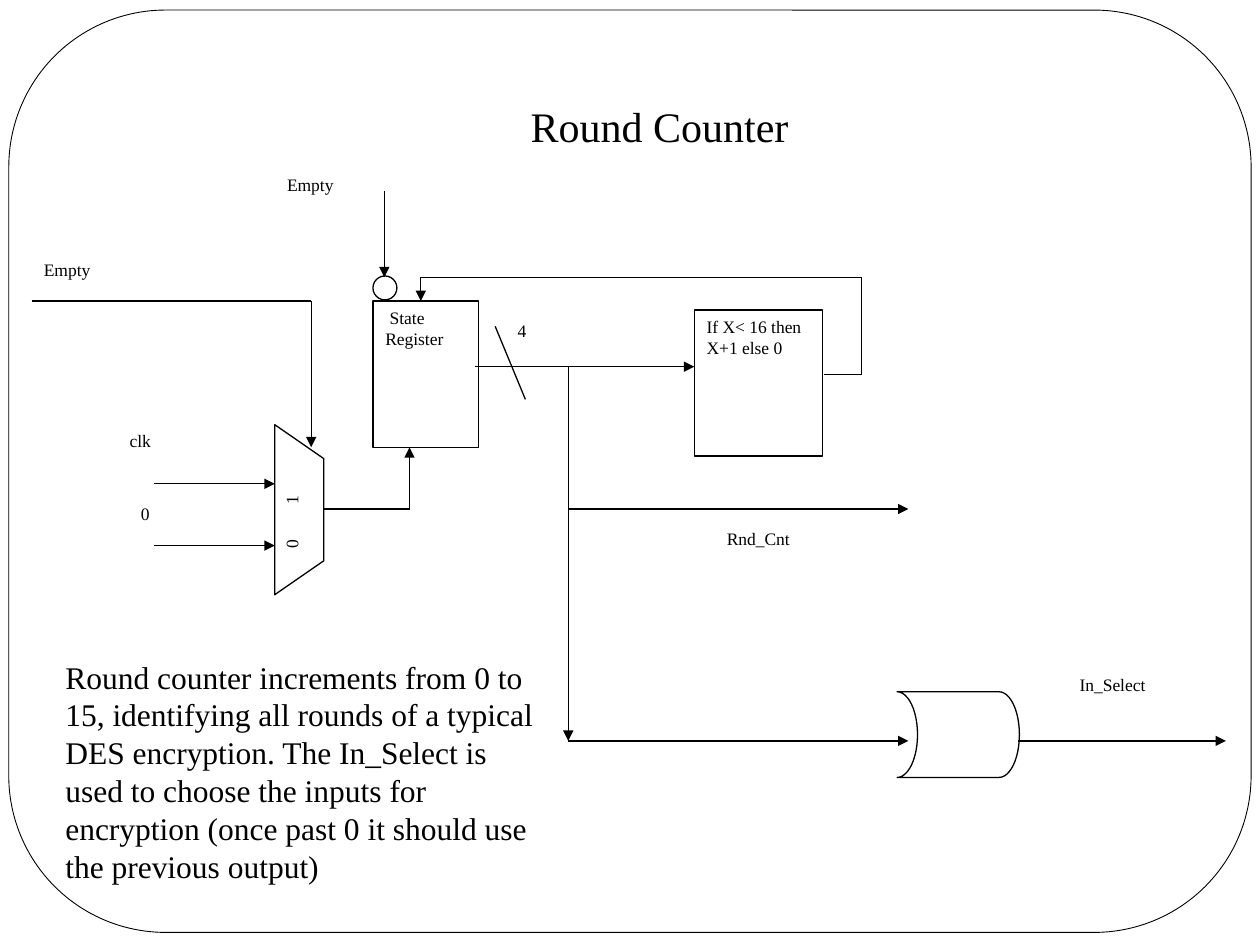
from itertools import pairwise

from lxml import etree
from pptx import Presentation
from pptx.dml.color import RGBColor
from pptx.enum.shapes import MSO_CONNECTOR, MSO_SHAPE
from pptx.enum.text import MSO_ANCHOR, PP_ALIGN
from pptx.oxml.ns import qn
from pptx.util import Inches, Pt

LEFT, CENTER, TOP = PP_ALIGN.LEFT, PP_ALIGN.CENTER, MSO_ANCHOR.TOP
STRAIGHT = MSO_CONNECTOR.STRAIGHT

THEME = {
    "font": "Times New Roman",
    "ink": RGBColor(0, 0, 0),
    "paper": RGBColor(255, 255, 255),
    "title": 24, "body": 18, "label": 10,
    "wire": 0.75, "frame": 0.5,
}
SLIDE_W, SLIDE_H = 10, 7.5
INSET_X, INSET_Y = 0.1, 0.05

# Columns and rows of the circuit, in inches
COL = {
    "select_in": 0.25, "data_in": 1.22, "mux": 2.18, "select": 2.47,
    "mux_out": 2.57, "register": 2.96, "reset": 3.05, "load": 3.25,
    "feedback": 3.34, "register_out": 3.77, "branch": 4.51, "compare": 5.51,
    "compare_out": 6.54, "loop": 6.84, "branch_end": 7.21, "gate": 7.12,
    "gate_out": 8.08, "output": 9.73,
}
ROW = {
    "reset_in": 1.52, "loop": 2.2, "register": 2.39, "compare": 2.46,
    "count": 2.91, "compare_out": 2.97, "register_end": 3.55,
    "clk": 3.84, "middle": 4.04, "zero": 4.33, "select": 5.88,
}

# Stops of each wire as (column, row); True puts an arrowhead at the end
WIRES = [
    ([("select_in", "register"), ("select", "register"), ("select", "register_end")], True),
    ([("data_in", "clk"), ("mux", "clk")], True),
    ([("data_in", "zero"), ("mux", "zero")], True),
    ([("mux_out", "middle"), ("load", "middle"), ("load", "register_end")], True),
    ([("register_out", "count"), ("compare", "count")], True),
    ([("compare_out", "compare_out"), ("loop", "compare_out"), ("loop", "loop"),
      ("feedback", "loop"), ("feedback", "register")], True),
    ([("reset", "reset_in"), ("reset", "loop")], True),
    ([("branch", "count"), ("branch", "select")], True),
    ([("branch", "middle"), ("branch_end", "middle")], True),
    ([("branch", "select"), ("branch_end", "select")], True),
    ([("gate_out", "select"), ("output", "select")], True),
]
BUS_SLASH = [(3.93, 2.59), (4.17, 3.17)]

# Preset, box (left, top, width, height), rotation, text
BLOCKS = [
    (MSO_SHAPE.FLOWCHART_MANUAL_OPERATION, (1.7, 3.85, 1.35, 0.39), 270, "0\t1"),
    (MSO_SHAPE.RECTANGLE, (COL["register"], ROW["register"], 0.84, 1.16), 0, " State Register"),
    (MSO_SHAPE.RECTANGLE, (COL["compare"], ROW["compare"], 1.02, 1.16), 0,
     "If X< 16 then X+1 else 0"),
    (MSO_SHAPE.OVAL, (COL["register"], 2.19, 0.19, 0.19), 0, ""),
    (MSO_SHAPE.FLOWCHART_STORED_DATA, (COL["gate"], 5.49, 0.97, 0.68), 180, ""),
]
MUX_TAB = 0.35

# Text, box, type size, alignment
TEXTS = [
    ("0", (1.02, 3.94, 0.29, 0.29), "label", LEFT),
    ("clk", (0.93, 3.36, 0.68, 0.29), "label", LEFT),
    ("Empty", (2.18, 1.33, 0.77, 0.29), "label", LEFT),
    ("Empty", (0.25, 2.01, 0.77, 0.29), "label", LEFT),
    ("In_Select", (8.47, 5.3, 0.97, 0.39), "label", LEFT),
    ("Rnd_Cnt", (5.67, 4.14, 1.16, 0.39), "label", LEFT),
    ("4", (4.01, 2.49, 0.4, 0.39), "label", LEFT),
    ("Round Counter", (3.35, 0.75, 3.77, 0.87), "title", CENTER),
    ("Round counter increments from 0 to 15, identifying all rounds of a typical "
     "DES encryption. The In_Select is used to choose the inputs for encryption "
     "(once past 0 it should use the previous output)",
     (0.42, 5.17, 3.92, 1.62), "body", LEFT),
]


def write(shape, text, *, size="label", align=LEFT):
    frame = shape.text_frame
    frame.word_wrap = True
    frame.vertical_anchor = TOP
    frame.margin_left = frame.margin_right = Inches(INSET_X)
    frame.margin_top = frame.margin_bottom = Inches(INSET_Y)
    paragraph = frame.paragraphs[0]
    paragraph.alignment = align
    if "\t" in text:
        tabs = etree.SubElement(paragraph._p.get_or_add_pPr(), qn("a:tabLst"))
        etree.SubElement(tabs, qn("a:tab"), pos=str(Inches(MUX_TAB)), algn="l")
    run = paragraph.add_run()
    run.text = text
    run.font.name = THEME["font"]
    run.font.size = Pt(THEME[size])
    run.font.color.rgb = THEME["ink"]


def outline(line, weight):
    line.color.rgb = THEME["ink"]
    line.width = Pt(THEME[weight])


def add_block(slide, preset, box, rotation=0, weight="wire"):
    block = slide.shapes.add_shape(preset, *map(Inches, box))
    block.rotation = rotation
    block.shadow.inherit = False
    block.fill.background()
    outline(block.line, weight)
    return block


def add_wire(slide, points, arrow=False):
    """Join the points by straight segments, the last one with the arrowhead."""
    for start, end in pairwise(points):
        segment = slide.shapes.add_connector(STRAIGHT, *map(Inches, start + end))
        outline(segment.line, "wire")
        if arrow and end == points[-1]:
            etree.SubElement(segment.line._get_or_add_ln(), qn("a:tailEnd"), type="triangle")
        etree.SubElement(segment._element.spPr, qn("a:effectLst"))


def main():
    deck = Presentation()
    deck.slide_width, deck.slide_height = Inches(SLIDE_W), Inches(SLIDE_H)
    slide = deck.slides.add_slide(deck.slide_layouts[6])

    frame = add_block(slide, MSO_SHAPE.ROUNDED_RECTANGLE, (0.07, 0.08, 9.86, 7.32), weight="frame")
    frame.adjustments[0] = 0.17
    frame.fill.solid()
    frame.fill.fore_color.rgb = THEME["paper"]

    for preset, box, rotation, text in BLOCKS:
        block = add_block(slide, preset, box, rotation)
        if text:
            write(block, text)
    for stops, arrow in WIRES:
        add_wire(slide, [(COL[col], ROW[row]) for col, row in stops], arrow)
    add_wire(slide, BUS_SLASH)
    for text, box, size, align in TEXTS:
        write(slide.shapes.add_textbox(*map(Inches, box)), text, size=size, align=align)

    deck.save("out.pptx")


if __name__ == "__main__":
    main()
